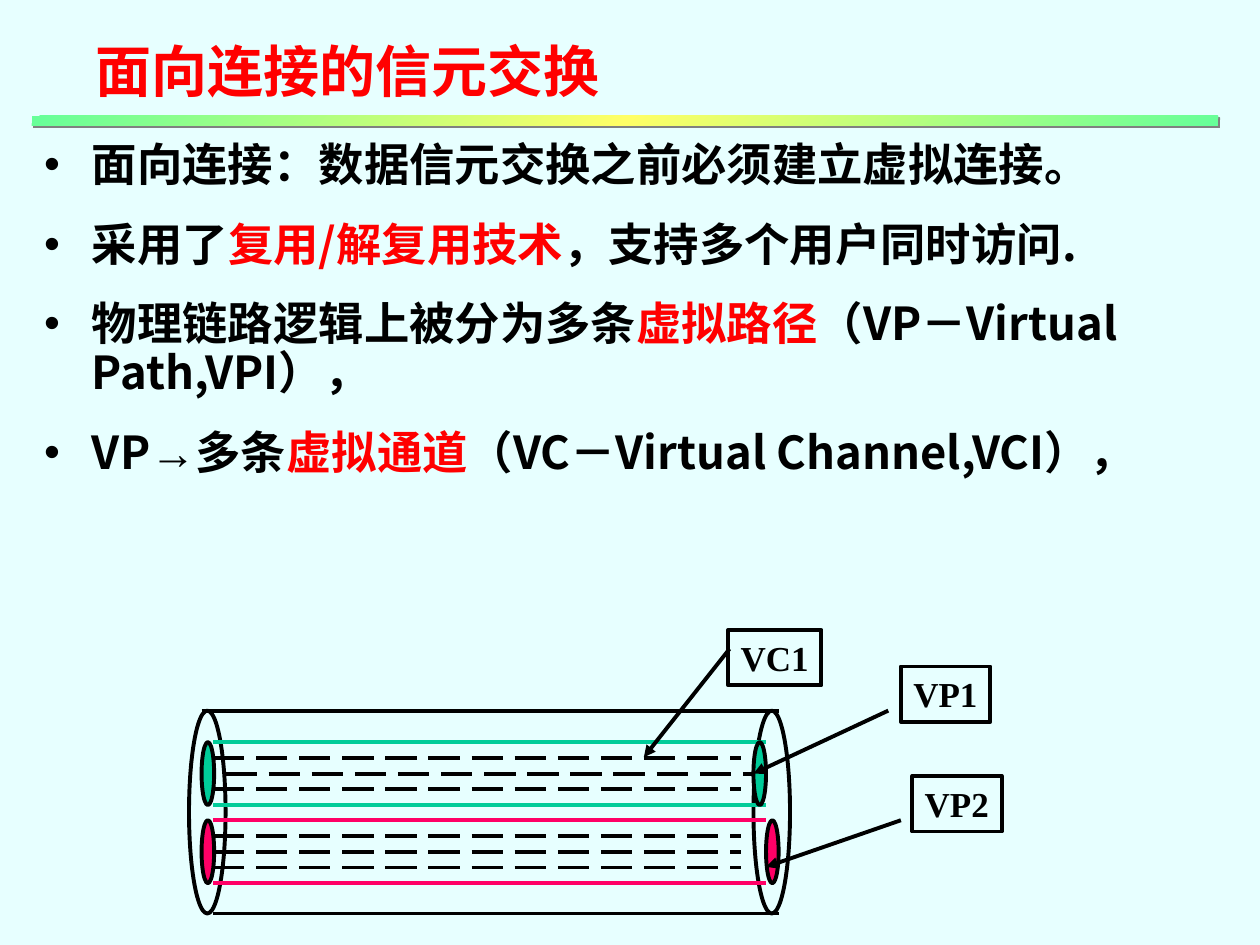
from typing import NamedTuple

from copy import deepcopy
from lxml.etree import SubElement
from pptx import Presentation
from pptx.dml.color import RGBColor
from pptx.enum.dml import MSO_LINE
from pptx.enum.shapes import MSO_CONNECTOR, MSO_SHAPE as Form
from pptx.enum.text import MSO_ANCHOR, MSO_AUTO_SIZE as Fit, PP_ALIGN
from pptx.oxml.ns import qn
from pptx.util import Inches, Pt

BLACK, RED, GREEN, PINK = "000000", "FF0000", "00CC99", "FF0066"
HAN, ROMAN, ARIAL = "Noto Sans CJK SC", "Times New Roman", "Arial"
EDGE = 2.25


class Wire(NamedTuple):
    x1: float
    y1: float
    x2: float
    y2: float
    color: str = BLACK
    dash: bool = False
    arrow: bool = False


class Oval(NamedTuple):
    x: float
    y: float
    w: float
    h: float
    fill: str | None = None


class Label(NamedTuple):
    text: str
    x: float
    y: float
    w: float
    tip: Wire


class Span(NamedTuple):
    text: str
    color: str = BLACK
    font: str = HAN


TITLE = "面向连接的信元交换"
POINTS = [
    [Span("面向连接：数据信元交换之前必须建立虚拟连接。")],
    [Span("采用了"), Span("复用/解复用技术", RED), Span("，支持多个用户同时访问.")],
    [Span("物理链路逻辑上被分为多条"), Span("虚拟路径", RED),
     Span("（VP－Virtual Path,VPI），")],
    [Span("VP"), Span("→", font=ARIAL), Span("多条"), Span("虚拟通道", RED),
     Span("（VC－Virtual Channel,VCI），")],
]

# Pipe, its two virtual paths and the channels inside them
TOP, BASE = 5.64, 7.25
VP1, VP2, BORE = 5.89, 6.51, 0.5
STEP = BORE / 4
PIPE = [Wire(1.6, TOP, 6.18, TOP), Wire(1.69, BASE, 6.18, BASE)]
ENDS = [Oval(x, TOP, 0.29, BASE - TOP) for x in (1.5, 5.98)]
WALLS = [Wire(1.69, y + d, 6.08, y + d, c)
         for y, c in ((VP1, GREEN), (VP2, PINK)) for d in (0, BORE)]
MOUTHS = [Oval(x, y, 0.1, BORE, c) for x, y, c in (
    (1.6, VP1, GREEN), (5.98, VP1, GREEN), (1.6, VP2, PINK), (6.08, VP2, PINK))]
CHANNELS = []
for top, shifts in ((VP1, (0, 0.1, 0)), (VP2, (0, 0, 0))):
    for i, dx in enumerate(shifts, 1):
        y = top + i * STEP
        CHANNELS.append(Wire(1.69 + dx, y, 5.88 + dx, y, dash=True))
LABELS = [
    Label("VP1", 7.15, 5.29, 0.71, Wire(7.05, 5.64, 5.98, 6.14, arrow=True)),
    Label("VC1", 5.78, 5, 0.74, Wire(5.79, 5.15, 5.11, 6.01, arrow=True)),
    Label("VP2", 7.24, 6.16, 0.71, Wire(7.15, 6.51, 6.08, 6.88, arrow=True)),
]


def rgb(code: str) -> RGBColor:
    return RGBColor.from_string(code)


def place(shape, *box: float) -> None:
    for name, val in zip(("left", "top", "width", "height"), box):
        setattr(shape, name, Inches(val))


def write(par, span: Span, size: float) -> None:
    run = par.add_run()
    run.text = span.text
    for name, val in {"size": Pt(size), "bold": True, "name": span.font}.items():
        setattr(run.font, name, val)
    run.font.color.rgb = rgb(span.color)
    SubElement(run.font._element, qn("a:ea")).set("typeface", span.font)


def draw_wire(shapes, wire: Wire) -> None:
    ends = [Inches(v) for v in wire[:4]]
    link = shapes.add_connector(MSO_CONNECTOR.STRAIGHT, *ends)
    link.line.color.rgb = rgb(wire.color)
    link.line.width = Pt(EDGE)
    if wire.dash:
        link.line.dash_style = MSO_LINE.LONG_DASH
    if wire.arrow:
        SubElement(link.line._get_or_add_ln(), qn("a:tailEnd")).set("type", "triangle")
    SubElement(link._element.spPr, qn("a:effectLst"))


def draw_form(shapes, form, box, fill: str | None = None):
    shape = shapes.add_shape(form, *[Inches(v) for v in box])
    shape.shadow.inherit = False
    if fill:
        shape.fill.solid()
        shape.fill.fore_color.rgb = rgb(fill)
    else:
        shape.fill.background()
    shape.line.color.rgb = rgb(BLACK)
    shape.line.width = Pt(EDGE)
    return shape


def draw_label(shapes, label: Label) -> None:
    draw_wire(shapes, label.tip)
    shape = draw_form(shapes, Form.RECTANGLE, (label.x, label.y, label.w, 0.44))
    frame = shape.text_frame
    for name, val in {"word_wrap": False, "auto_size": Fit.SHAPE_TO_FIT_TEXT,
                      "vertical_anchor": MSO_ANCHOR.TOP}.items():
        setattr(frame, name, val)
    par = frame.paragraphs[0]
    par.alignment = PP_ALIGN.LEFT
    write(par, Span(label.text, font=ROMAN), 20)


def draw_rule(shapes) -> None:
    """Gradient bar with a hard grey shadow under the title."""
    bar = draw_form(shapes, Form.RECTANGLE, (0.25, 0.92, 9.42, 0.08))
    bar.line.fill.background()
    bar.fill.gradient()
    bar.fill.gradient_angle = 315
    stops = bar._element.spPr.find(".//" + qn("a:gsLst"))
    stops.append(deepcopy(stops[0]))
    for i, (stop, code) in enumerate(zip(bar.fill.gradient_stops,
                                         ("66FF99", "FFFF66", "66FF99"))):
        stop.position = i / 2
        stop.color.rgb = rgb(code)
    effects = bar._element.spPr.find(qn("a:effectLst"))
    shade = SubElement(effects, qn("a:outerShdw"), dist=str(Pt(1.4)),
                       dir="2700000", algn="ctr", rotWithShape="0")
    SubElement(shade, qn("a:srgbClr")).set("val", "808080")


def fill_title(title) -> None:
    place(title, 0.66, 0.24, 4.5, 0.64)
    frame = title.text_frame
    for name, val in {"word_wrap": True, "auto_size": Fit.NONE,
                      "vertical_anchor": MSO_ANCHOR.MIDDLE}.items():
        setattr(frame, name, val)
    par = frame.paragraphs[0]
    par.alignment = PP_ALIGN.LEFT
    write(par, Span(TITLE, RED), 32)


def fill_body(body) -> None:
    place(body, 0.25, 1.08, 9.58, 3.42)
    frame = body.text_frame
    frame.auto_size = Fit.NONE
    for i, spans in enumerate(POINTS):
        par = frame.add_paragraph() if i else frame.paragraphs[0]
        for name, val in {"line_spacing": 0.9, "space_before": Pt(17.5)}.items():
            setattr(par, name, val)
        props = par._p.get_or_add_pPr()
        props.set("marL", str(Inches(0.38)))
        props.set("indent", str(-Inches(0.38)))
        for span in spans:
            write(par, span, 25.9)


def main() -> None:
    deck = Presentation()
    deck.slide_width, deck.slide_height = Inches(10), Inches(7.5)
    slide = deck.slides.add_slide(deck.slide_layouts[1])
    slide.background.fill.solid()
    slide.background.fill.fore_color.rgb = rgb("E7FFFF")
    fill_title(slide.shapes.title)
    fill_body(slide.placeholders[1])
    parts = slide.shapes.add_group_shape().shapes
    for wires, ovals in ((PIPE, ENDS), (WALLS, MOUTHS), (CHANNELS, [])):
        for wire in wires:
            draw_wire(parts, wire)
        for oval in ovals:
            draw_form(parts, Form.OVAL, oval[:4], oval.fill)
    for label in LABELS:
        draw_label(parts, label)
    draw_rule(slide.shapes)
    deck.save("out.pptx")


if __name__ == "__main__":
    main()
